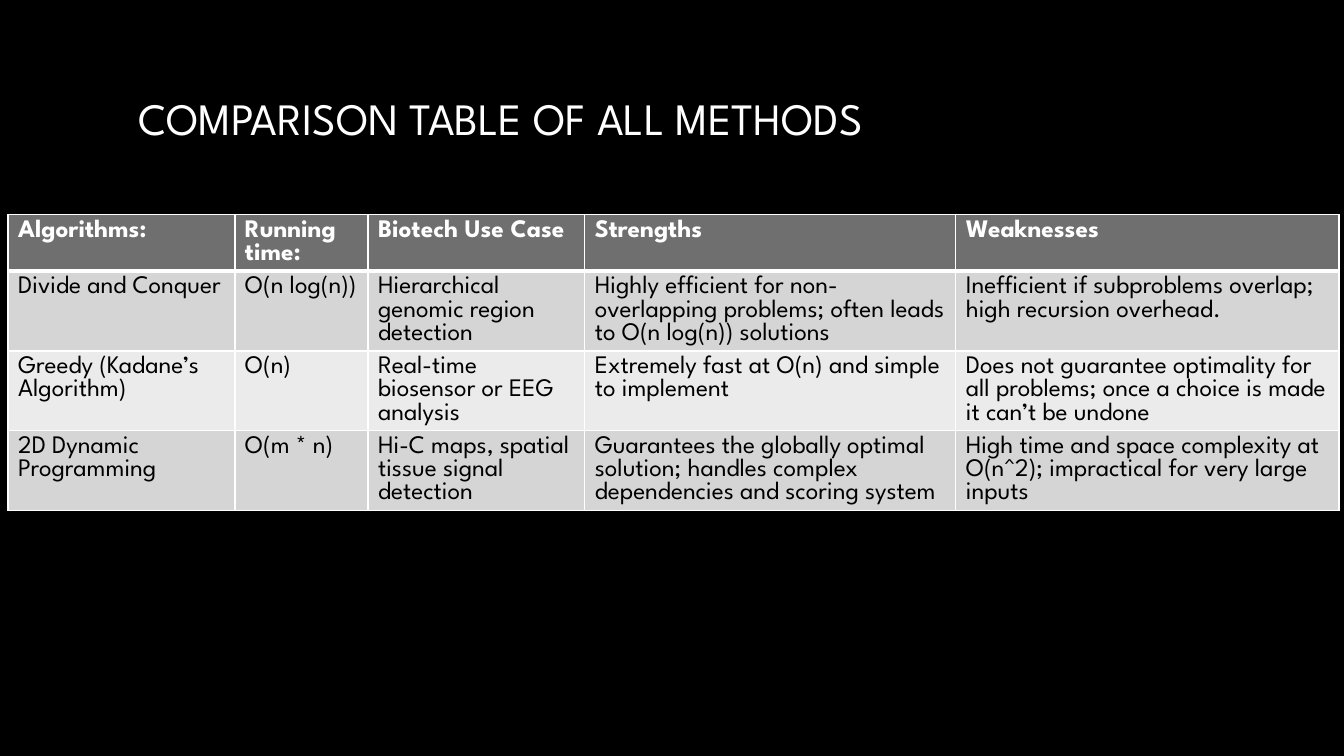
import pptx
import pptx.util
import pptx.dml.color
import pptx.enum.text
import pptx.oxml
import pptx.oxml.ns

Inches, Pt = pptx.util.Inches, pptx.util.Pt
RGB = pptx.dml.color.RGBColor.from_string
FONT = "League Spartan"
HUES = {"back": "000000", "light": "FFFFFF", "dark": "000000",
        "head": "6F6F6F", "odd": "D5D5D5", "even": "EBEBEB"}
WIDTHS = [2.25, 1.32, 2.15, 3.68, 3.8]
ROWS = [
    ["Algorithms:", "Running time:", "Biotech Use Case", "Strengths", "Weaknesses"],
    ["Divide and Conquer", "O(n log(n))", "Hierarchical genomic region detection",
     "Highly efficient for non-overlapping problems; often leads to O(n log(n)) solutions",
     "Inefficient if subproblems overlap; high recursion overhead."],
    ["Greedy (Kadane’s Algorithm)", "O(n)", "Real-time biosensor or EEG analysis",
     "Extremely fast at O(n) and simple to implement",
     "Does not guarantee optimality for all problems; once a choice is made it can’t be undone"],
    ["2D Dynamic Programming", "O(m * n)", "Hi-C maps, spatial tissue signal detection",
     "Guarantees the globally optimal solution; handles complex dependencies and scoring system",
     "High time and space complexity at O(n^2); impractical for very large inputs"],
]


def write(frame, text, size=18, hue="dark", bold=False):
    """Put one formatted, left-aligned paragraph in a text frame."""
    para = frame.paragraphs[0]
    para.alignment = pptx.enum.text.PP_ALIGN.LEFT
    run = para.add_run()
    run.text = text
    run.font.name = FONT
    run.font.size = Pt(size)
    run.font.bold = bold
    run.font.color.rgb = RGB(HUES[hue])


def edge(cell, **sides):
    """Draw cell borders; each side is given its width in points."""
    props = cell._tc.get_or_add_tcPr()
    for i, (side, width) in enumerate(sides.items()):
        line = pptx.oxml.parse_xml(
            f'<a:ln{side} {pptx.oxml.ns.nsdecls("a")} w="{Pt(width)}"><a:solidFill>'
            f'<a:srgbClr val="{HUES["light"]}"/></a:solidFill></a:ln{side}>')
        props.insert(i, line)


def title(slide, left, top, width, height):
    head = slide.shapes.title
    head.left, head.top = Inches(left), Inches(top)
    head.width, head.height = Inches(width), Inches(height)
    head.text_frame.vertical_anchor = pptx.enum.text.MSO_ANCHOR.MIDDLE
    write(head.text_frame, "COMPARISON TABLE OF ALL METHODS", size=32, hue="light")


def grid(slide, left, top, heights):
    shape = slide.shapes.add_table(len(ROWS), len(WIDTHS), Inches(left), Inches(top),
                                   Inches(sum(WIDTHS)), Inches(sum(heights)))
    table = shape.table
    for col, width in zip(table.columns, WIDTHS):
        col.width = Inches(width)
    for r, (texts, height) in enumerate(zip(ROWS, heights)):
        table.rows[r].height = Inches(height)
        first = r == 0
        fill = "head" if first else "odd" if r % 2 else "even"
        for c, text in enumerate(texts):
            cell = table.cell(r, c)
            cell.fill.solid()
            cell.fill.fore_color.rgb = RGB(HUES[fill])
            write(cell.text_frame, text, hue="light" if first else "dark", bold=first)
            edge(cell, L=1, R=1, T=3 if r == 1 else 1, B=3 if first else 1)


def main():
    deck = pptx.Presentation()
    deck.slide_width, deck.slide_height = Inches(13.33), Inches(7.5)
    slide = deck.slides.add_slide(deck.slide_layouts.get_by_name("Title Only"))
    slide.background.fill.solid()
    slide.background.fill.fore_color.rgb = RGB(HUES["back"])
    title(slide, 1.27, 0.13, 10.83, 2.08)
    grid(slide, 0.08, 2.13, [0.56, 0.79, 0.79, 0.79])
    deck.save("out.pptx")


if __name__ == "__main__":
    main()
